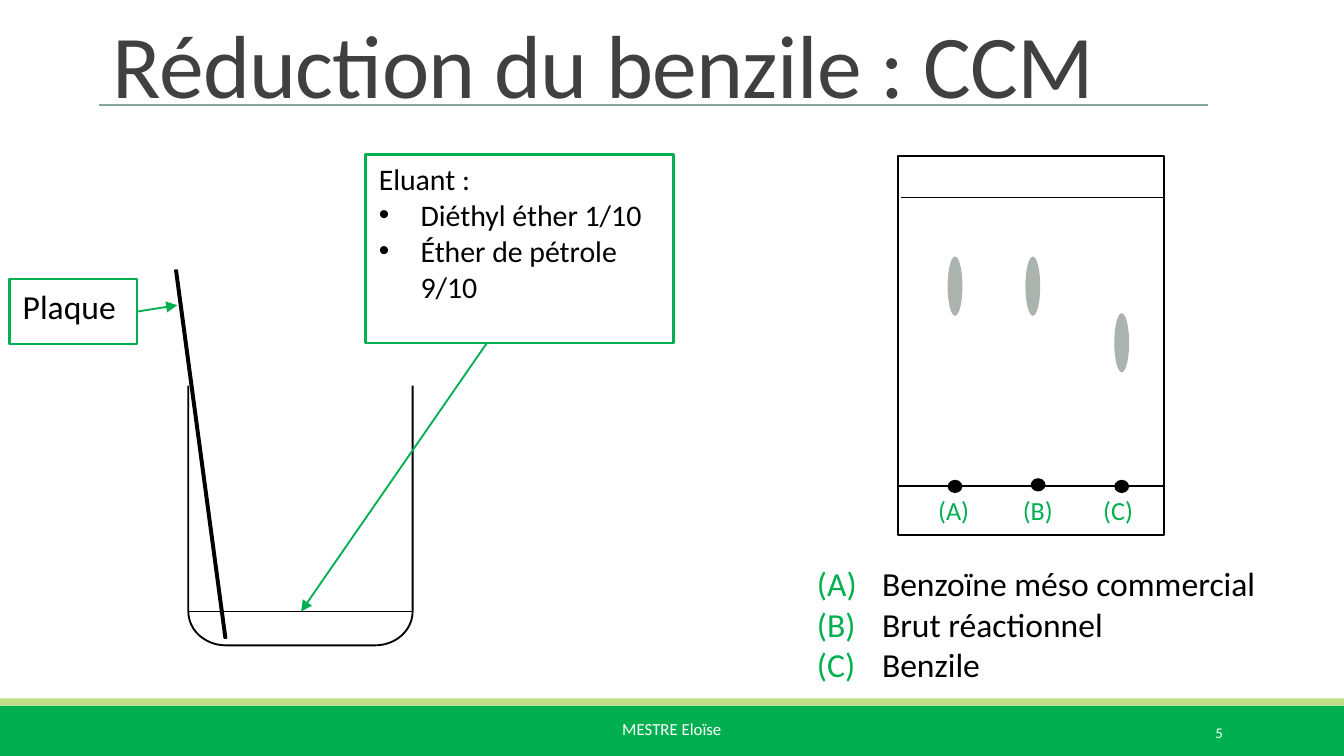
"""Builds the slide on the thin-layer chromatography of the benzil reduction."""
from math import cos, pi, sin

from lxml.etree import SubElement
from pptx import Presentation
from pptx.dml.color import RGBColor
from pptx.enum.shapes import MSO_CONNECTOR, MSO_SHAPE as Kind
from pptx.enum.text import MSO_ANCHOR as Anchor, PP_ALIGN as Align
from pptx.oxml.ns import qn
from pptx.util import Cm, Pt

GREEN, BLACK, WHITE = "00B050", "000000", "FFFFFF"
rgb = RGBColor.from_string

deck = Presentation()
deck.slide_width, deck.slide_height = Cm(25.4), Cm(14.29)
slide = deck.slides.add_slide(deck.slide_layouts[5])
shapes = slide.shapes


def add_box(kind, place, fill=None, outline=None, width=1.25, text="", size=18,
            color=BLACK, align=Align.LEFT, anchor=Anchor.TOP, wrap=True):
    box = shapes.add_shape(kind, *map(Cm, place))
    box.shadow.inherit = False
    if fill:
        box.fill.solid()
        box.fill.fore_color.rgb = rgb(fill)
    else:
        box.fill.background()
    if outline:
        box.line.color.rgb = rgb(outline)
        box.line.width = Pt(width)
    else:
        box.line.fill.background()
    frame = box.text_frame
    frame.text = text
    frame.word_wrap = wrap
    frame.vertical_anchor = anchor
    for paragraph in frame.paragraphs:
        paragraph.alignment = align
        for run in paragraph.runs:
            run.font.name, run.font.size = "Calibri", Pt(size)
            run.font.color.rgb = rgb(color)
    return box


def add_line(start, end, color=BLACK, width=1, arrow=False):
    line = shapes.add_connector(MSO_CONNECTOR.STRAIGHT, *map(Cm, start + end))
    line.line.color.rgb = rgb(color)
    line.line.width = Pt(width)
    properties = line._element.spPr
    if arrow:
        SubElement(properties.find(qn("a:ln")), qn("a:tailEnd"), type="triangle")
    SubElement(properties, qn("a:effectLst"))
    return line


add_box(Kind.RECTANGLE, (0, 13.34, 25.4, 0.95), GREEN)
add_box(Kind.RECTANGLE, (0, 13.2, 25.4, 0.14), "C1DF87")
add_line((1.88, 1.98), (22.83, 1.98), "87A896")
add_box(Kind.RECTANGLE, (11.51, 13.46, 2.39, 1.14), text="MESTRE Eloïse",
        size=9, color=WHITE, wrap=False)
add_box(Kind.RECTANGLE, (20.62, 13.46, 2.74, 0.76), text="5", size=7.9,
        color=WHITE, align=Align.RIGHT, anchor=Anchor.MIDDLE)

title = shapes.title
title.left, title.top, title.width, title.height = map(Cm, (1.88, 0.41, 20.96, 1.93))
title.text_frame.text = "Réduction du benzile : CCM"
title.text_frame.word_wrap = True
title.text_frame.vertical_anchor = Anchor.BOTTOM
heading = title.text_frame.paragraphs[0]
heading.alignment = Align.LEFT
heading.line_spacing = 0.85
heading_font = heading.runs[0].font
heading_font.name, heading_font.size = "Calibri", Pt(48)
heading_font.color.rgb = rgb("404040")
heading.runs[0]._r.get_or_add_rPr().set("spc", "-40")

left, right, rim, bottom, liquid = 3.56, 7.8, 7.29, 12.2, 11.56
radius_x, radius_y = 0.71, bottom - liquid
angles = [step * pi / 24 for step in range(13)]
left_corner = [(left + radius_x * (1 - cos(a)), liquid + radius_y * sin(a)) for a in angles]
right_corner = [(left + right - x, y) for x, y in reversed(left_corner)]
outline = left_corner + right_corner + [(right, rim)]
builder = shapes.build_freeform(Cm(left), Cm(rim))
builder.add_line_segments([(Cm(x), Cm(y)) for x, y in outline], close=False)
beaker = builder.convert_to_shape()
beaker.shadow.inherit = False
beaker.fill.background()
beaker.line.color.rgb = rgb(BLACK)
beaker.line.width = Pt(1)

plate = add_box(Kind.PARALLELOGRAM, (3.71, 5.08, 0.18, 7.01), "A6A6A6", BLACK, 1)
plate.adjustments[0] = 0.78
plate.rotation = 353.5
plate._element.spPr.get_or_add_xfrm().set("flipH", "1")

eluent = add_box(Kind.RECTANGLE, (6.91, 2.92, 5.82, 3.56), WHITE, GREEN, size=16,
                 text="Eluant :\nDiéthyl éther 1/10\nÉther de pétrole 9/10")
for solvent in eluent.text_frame.paragraphs[1:]:
    layout = solvent._p.get_or_add_pPr()
    layout.set("marL", str(Cm(0.79)))
    layout.set("indent", str(-Cm(0.79)))
    SubElement(layout, qn("a:buFont"), typeface="Arial")
    SubElement(layout, qn("a:buChar"), char="•")
add_line((9.19, 6.5), (5.69, liquid), GREEN, arrow=True)

plate_label = add_box(Kind.RECTANGLE, (0.18, 5.28, 2.41, 1.22), WHITE, GREEN, text="Plaque")
plate_arrow = add_line((2.59, 5.89), (3.35, 5.77), GREEN, arrow=True)
plate_arrow.begin_connect(plate_label, 3)
add_line((left, liquid), (right, liquid))

add_box(Kind.RECTANGLE, (16.97, 2.95, 5.03, 7.16), WHITE, BLACK)
add_line((16.97, 9.19), (22, 9.19))
add_line((17.02, 3.73), (21.97, 3.73), width=0.75)
lanes = [("(A)", 17.48, 17.91, 9.07, 17.91, 4.85),
         ("(B)", 19.08, 19.48, 9.04, 19.38, 4.85),
         ("(C)", 20.6, 21.06, 9.07, 21.06, 5.92)]
for letter, label_x, dot_x, dot_y, spot_x, spot_y in lanes:
    add_box(Kind.RECTANGLE, (label_x, 9.22, 1.14, 0.86), text=letter, size=14, color=GREEN)
    add_box(Kind.OVAL, (dot_x, dot_y, 0.28, 0.25), BLACK)
    spot = add_box(Kind.OVAL, (spot_x, spot_y, 0.28, 1.12), "34473D")
    tint = spot._element.spPr.find(qn("a:solidFill")).find(qn("a:srgbClr"))
    SubElement(tint, qn("a:alpha"), val="41000")

legend = add_box(Kind.RECTANGLE, (15.19, 10.52, 9.17, 2.57),
                 text="Benzoïne méso commercial\nBrut réactionnel\nBenzile")
for compound in legend.text_frame.paragraphs:
    layout = compound._p.get_or_add_pPr()
    layout.set("marL", str(Cm(1.23)))
    layout.set("indent", str(-Cm(1.23)))
    bullet_color = SubElement(layout, qn("a:buClr"))
    SubElement(bullet_color, qn("a:srgbClr"), val=GREEN)
    SubElement(layout, qn("a:buFont"), typeface="Calibri")
    SubElement(layout, qn("a:buAutoNum"), type="alphaUcParenBoth")

deck.save("out.pptx")
